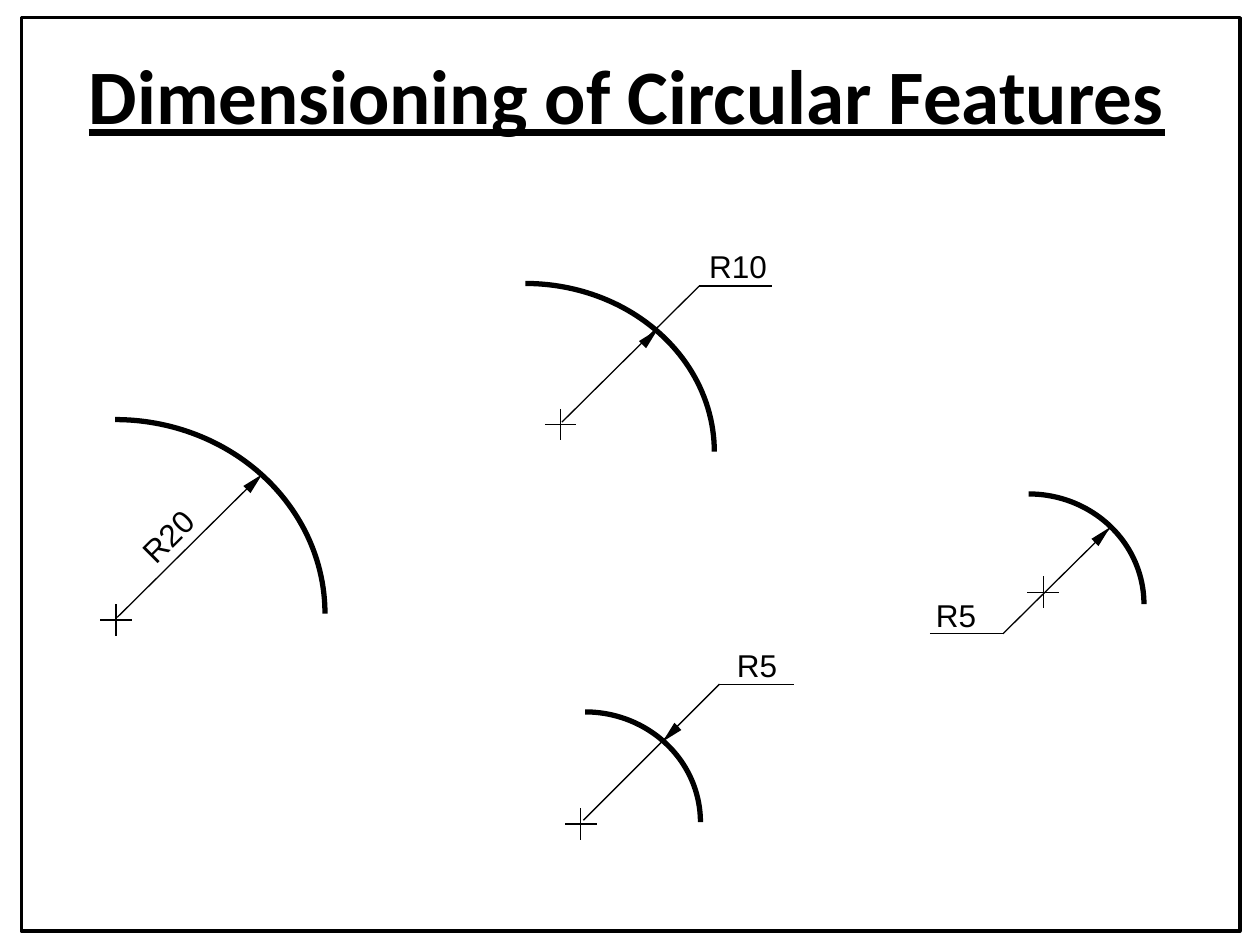
from lxml import etree
from pptx import Presentation
from pptx.dml.color import RGBColor
from pptx.enum.shapes import MSO_CONNECTOR, MSO_SHAPE
from pptx.enum.text import MSO_ANCHOR, PP_ALIGN
from pptx.oxml.ns import qn
from pptx.util import Inches, Pt

ARC, RECT, HEAD = MSO_SHAPE.ARC, MSO_SHAPE.RECTANGLE, MSO_SHAPE.ISOSCELES_TRIANGLE
STRAIGHT = MSO_CONNECTOR.STRAIGHT
LEFT, CENTER = PP_ALIGN.LEFT, PP_ALIGN.CENTER
TOP, MIDDLE = MSO_ANCHOR.TOP, MSO_ANCHOR.MIDDLE

COLORS = {"ink": "000000"}
INK = RGBColor.from_string(COLORS["ink"])
CROSS = 0.125  # half the size of a centre mark

# Each feature: arc box, centre mark, leader ends, arrow place and turn,
# shelf under the label (or None), label, its place and turn
FEATURES = [
    dict(arc=(-0.75, 3.33, 3.33, 3.08), mark=(0.92, 4.92),
         leader=(0.93, 4.9, 2.02, 3.82), arrow=(1.98, 3.74), turn=45,
         shelf=None, label="R20", at=(1, 4.05), tilt=315),
    dict(arc=(2.67, 2.25, 3, 2.67), mark=(4.45, 3.37),
         leader=(4.46, 3.35, 5.55, 2.27), arrow=(5.12, 2.59), turn=45,
         shelf=(5.55, 2.27, 6.13, 2.27), label="R10", at=(5.53, 1.91), tilt=0),
    dict(arc=(3.73, 5.65, 1.83, 1.75), mark=(4.61, 6.54),
         leader=(4.63, 6.51, 5.71, 5.43), arrow=(5.28, 5.74), turn=225,
         shelf=(5.71, 5.43, 6.3, 5.43), label="R5", at=(5.75, 5.08), tilt=0),
    dict(arc=(7.25, 3.92, 1.83, 1.75), mark=(8.28, 4.7),
         leader=(7.96, 5.03, 8.83, 4.17), arrow=(8.71, 4.16), turn=45,
         shelf=(7.38, 5.03, 7.96, 5.03), label="R5", at=(7.33, 4.68), tilt=0),
]


def add_line(slide, x1, y1, x2, y2):
    line = slide.shapes.add_connector(STRAIGHT, *map(Inches, (x1, y1, x2, y2)))
    line.line.color.rgb = INK
    line.line.width = Pt(0.75)
    etree.SubElement(line._element.spPr, qn("a:effectLst"))


def add_outline(slide, kind, box, width):
    shape = slide.shapes.add_shape(kind, *map(Inches, box))
    shape.shadow.inherit = False
    shape.fill.background()
    shape.line.color.rgb = INK
    shape.line.width = Pt(width)


def add_arrow(slide, place, turn):
    shape = slide.shapes.add_shape(HEAD, *map(Inches, (*place, 0.08, 0.17)))
    shape.shadow.inherit = False
    shape.fill.solid()
    shape.fill.fore_color.rgb = INK
    shape.line.fill.background()
    shape.rotation = turn


def add_text(slide, text, box, size=18, font="Arial", bold=False,
             under=False, align=LEFT, anchor=TOP, turn=0):
    shape = slide.shapes.add_textbox(*map(Inches, box))
    shape.rotation = turn
    frame = shape.text_frame
    frame.word_wrap = True
    frame.vertical_anchor = anchor
    para = frame.paragraphs[0]
    para.alignment = align
    run = para.add_run()
    run.text = text
    run.font.size = Pt(size)
    run.font.name = font
    run.font.bold = bold
    run.font.underline = under
    run.font.color.rgb = INK


def add_feature(slide, part):
    add_outline(slide, ARC, part["arc"], 3)
    # Centre mark
    x, y = part["mark"]
    add_line(slide, x, y - CROSS, x, y + CROSS)
    add_line(slide, x - CROSS, y, x + CROSS, y)
    # Leader with arrow and shelf
    add_line(slide, *part["leader"])
    add_arrow(slide, part["arrow"], part["turn"])
    if part["shelf"]:
        add_line(slide, *part["shelf"])
    # Radius label
    add_text(slide, part["label"], (*part["at"], 0.67, 0.4), turn=part["tilt"])


def main():
    deck = Presentation()
    deck.slide_width, deck.slide_height = Inches(10), Inches(7.5)
    slide = deck.slides.add_slide(deck.slide_layouts[6])

    # Frame and title
    add_outline(slide, RECT, (0.17, 0.14, 9.67, 7.25), 2)
    add_text(slide, "Dimensioning of Circular Features", (0.17, 0.33, 9.61, 0.83),
             size=44, font="Calibri", bold=True, under=True,
             align=CENTER, anchor=MIDDLE)

    # Dimensioned arcs
    for part in FEATURES:
        add_feature(slide, part)

    deck.save("out.pptx")


if __name__ == "__main__":
    main()
